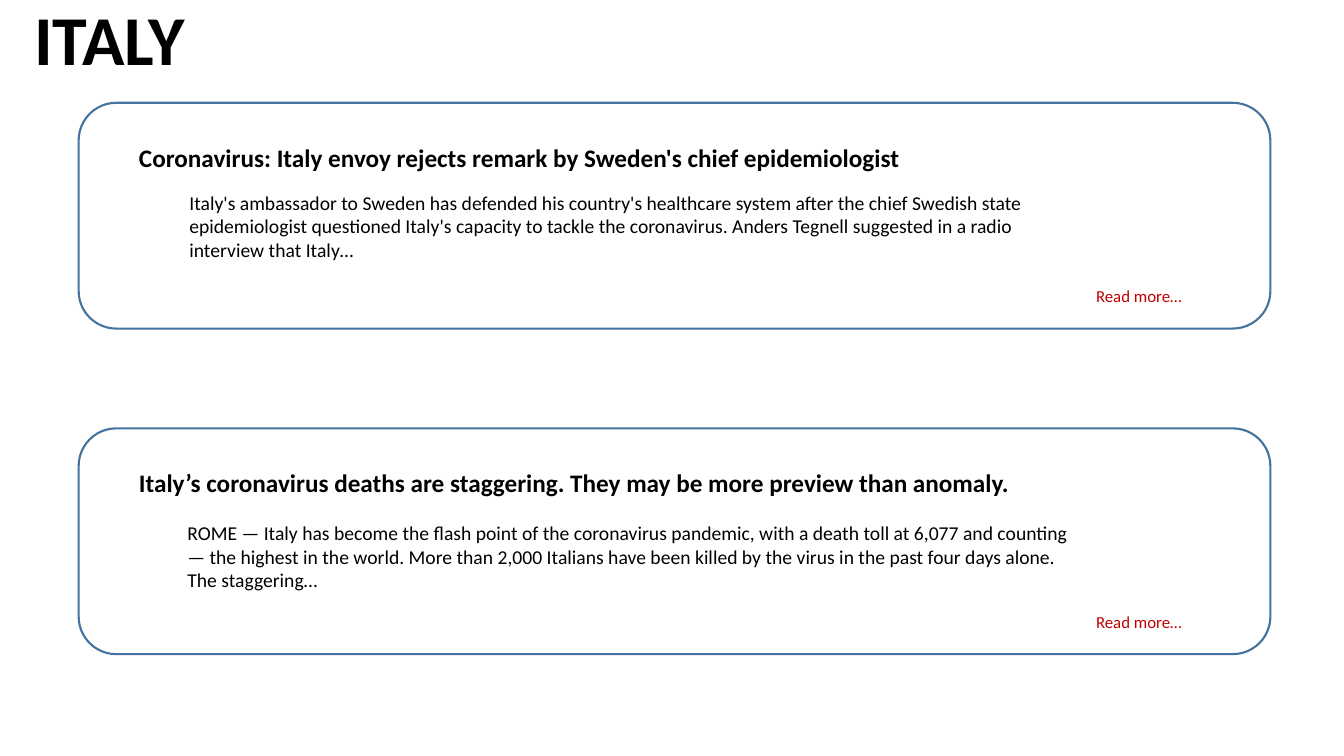
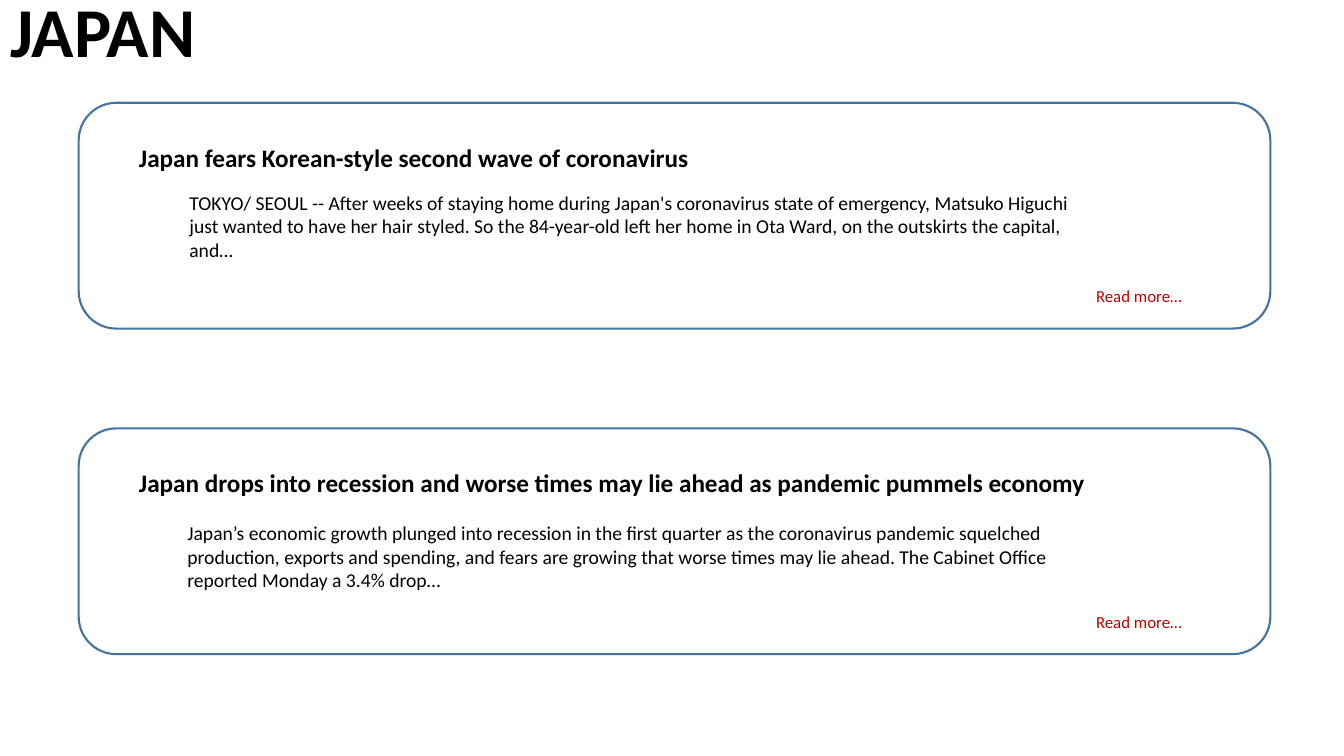
from pptx import Presentation
from pptx.dml.color import RGBColor
from pptx.enum.shapes import MSO_SHAPE
from pptx.enum.text import MSO_ANCHOR, MSO_AUTO_SIZE, PP_ALIGN
from pptx.util import Inches, Pt

ROUNDED = MSO_SHAPE.ROUNDED_RECTANGLE
TOP = MSO_ANCHOR.TOP
NO_FIT = MSO_AUTO_SIZE.NONE
LEFT, RIGHT = PP_ALIGN.LEFT, PP_ALIGN.RIGHT
TITLE_ONLY = 5

COLORS = {"text": "000000", "link": "C00000", "border": "43739E"}
FONT = "Calibri"
FORMATS = {
    "title": {"size": Pt(50), "bold": True},
    "headline": {"size": Pt(18), "bold": True},
    "summary": {"size": Pt(14), "bold": False},
    "link": {"size": Pt(12), "bold": False},
}
CARD_X, CARD_W, CARD_H = 0.78, 11.82, 2.24
CARD_TOPS = (1.02, 4.25)
SUMMARY_OFFSETS = ((1.0, 0.82), (0.98, 0.87))

SLIDES = [
    {
        "title": "ITALY",
        "title_box": (0.24, -0.09, 4.03, 0.94),
        "stories": [
            ("Coronavirus: Italy envoy rejects remark by Sweden's chief epidemiologist",
             "Italy's ambassador to Sweden has defended his country's healthcare system "
             "after the chief Swedish state epidemiologist questioned Italy's capacity to "
             "tackle the coronavirus. Anders Tegnell suggested in a radio interview that "
             "Italy…"),
            ("Italy’s coronavirus deaths are staggering. They may be more preview than anomaly.",
             "ROME — Italy has become the flash point of the coronavirus pandemic, with a "
             "death toll at 6,077 and counting — the highest in the world. More than 2,000 "
             "Italians have been killed by the virus in the past four days alone. The "
             "staggering…"),
        ],
    },
    {
        "title": "JAPAN",
        "title_box": (0, -0.17, 2.86, 0.94),
        "stories": [
            ("Japan fears Korean-style second wave of coronavirus",
             "TOKYO/ SEOUL -- After weeks of staying home during Japan's coronavirus state "
             "of emergency, Matsuko Higuchi just wanted to have her hair styled. So the "
             "84-year-old left her home in Ota Ward, on the outskirts the capital, and…"),
            ("Japan drops into recession and worse times may lie ahead as pandemic pummels economy",
             "Japan’s economic growth plunged into recession in the first quarter as the "
             "coronavirus pandemic squelched production, exports and spending, and fears are "
             "growing that worse times may lie ahead. The Cabinet Office reported Monday a "
             "3.4% drop…"),
        ],
    },
]


def rgb(name):
    return RGBColor.from_string(COLORS[name])


def write(sp, text, style, color="text", align=LEFT):
    tf = sp.text_frame
    tf.text = text
    tf.word_wrap = True
    tf.auto_size = NO_FIT
    tf.vertical_anchor = TOP
    p = tf.paragraphs[0]
    p.alignment = align
    p.line_spacing = 1.0
    font = p.runs[0].font
    font.name = FONT
    font.color.rgb = rgb(color)
    for name, value in FORMATS[style].items():
        setattr(font, name, value)


def add_text(s, x, y, w, h, text, style, **options):
    sp = s.shapes.add_textbox(Inches(x), Inches(y), Inches(w), Inches(h))
    write(sp, text, style, **options)


def set_title(s, text, box):
    sp = s.shapes.title
    sp.left, sp.top, sp.width, sp.height = [Inches(v) for v in box]
    write(sp, text, "title")


def add_card(s, x, y, w, h, story, summary_offset):
    headline, summary = story
    dx, dy = summary_offset
    sp = s.shapes.add_shape(ROUNDED, Inches(x), Inches(y), Inches(w), Inches(h))
    sp.shadow.inherit = False
    sp.fill.background()
    sp.line.color.rgb = rgb("border")
    sp.line.width = Pt(1.5)
    add_text(s, x + 0.5, y + 0.34, w - 0.55, 0.4, headline, "headline")
    add_text(s, x + w - 2.2, y + h - 0.47, 1.42, 0.3, "Read more…", "link",
             color="link", align=RIGHT)
    add_text(s, x + dx, y + dy, w - 2.78, 0.81, summary, "summary")


def build_country(prs, title, title_box, stories):
    s = prs.slides.add_slide(prs.slide_layouts[TITLE_ONLY])
    set_title(s, title, title_box)
    for top, story, offset in zip(CARD_TOPS, stories, SUMMARY_OFFSETS):
        add_card(s, CARD_X, top, CARD_W, CARD_H, story, offset)


def main():
    prs = Presentation()
    prs.slide_width = Inches(13.33)
    prs.slide_height = Inches(7.5)
    for content in SLIDES:
        build_country(prs, **content)
    prs.save("out.pptx")


if __name__ == "__main__":
    main()
